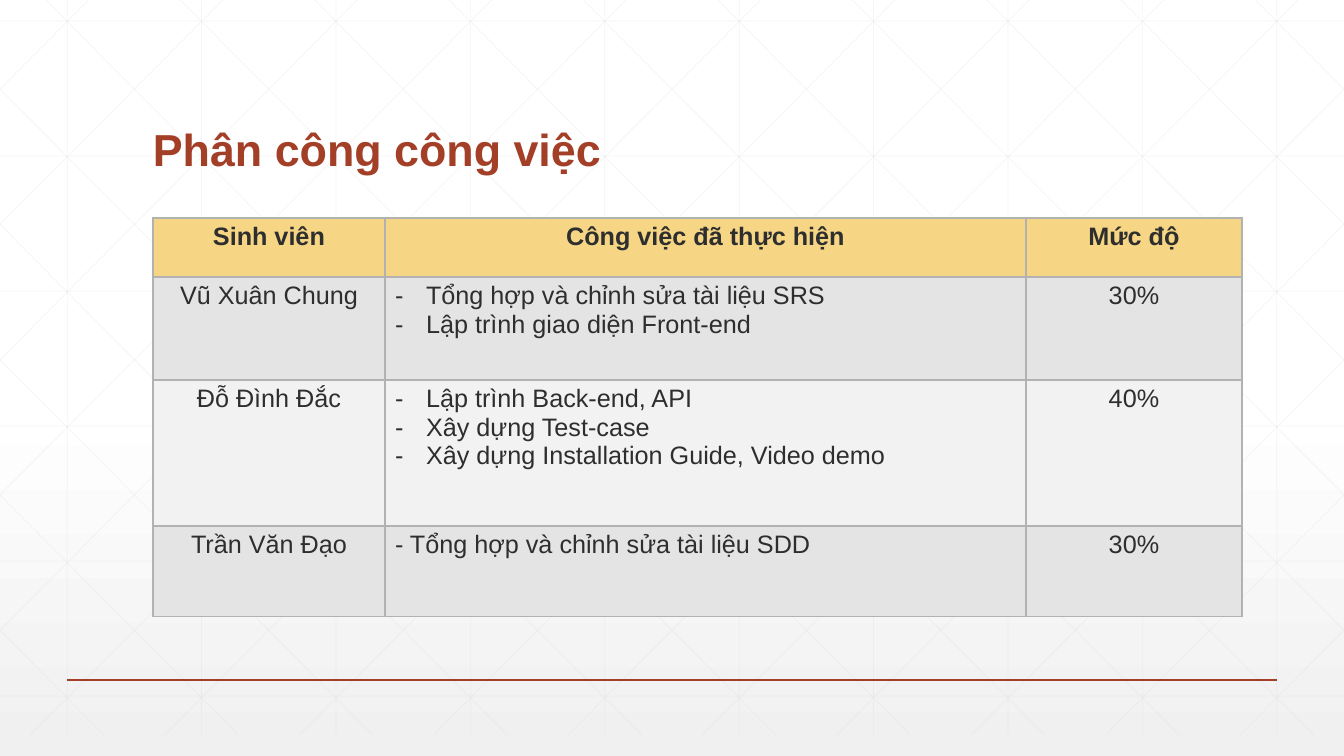
from copy import deepcopy

from lxml import etree
from pptx import Presentation
from pptx import util as u
from pptx.dml import color
from pptx.enum import shapes, text
from pptx.oxml import ns

WIDTH, HEIGHT = 1344, 756
GRID_BOTTOM = 735
EMU_PER_PX = 914400 / 100.8


def px(length):
    return u.Emu(round(length * EMU_PER_PX))


def rgb(value):
    return color.RGBColor.from_string(value)


def child(parent, tag, **attributes):
    return etree.SubElement(parent, ns.qn(tag), attributes)


def apply(target, values):
    for name, value in values.items():
        setattr(target, name, value)


class SlideBuilder:
    font = "Arial"
    accent = "A43F27"
    ink = "2D2E2D"
    grid = "D9D9D9"
    border = "B2B2B2"
    header = "F6D685"
    bands = ("E4E4E4", "F2F2F2")

    def __init__(self, deck):
        self.page = deck.slides.add_slide(deck.slide_layouts[6])

    def background(self, stops):
        fill = self.page.background.fill
        fill.gradient()
        fill.gradient_angle = 270
        stop_list = next(self.page.element.iter(ns.qn("a:gsLst")))
        for _ in range(len(stops) - len(stop_list)):
            stop_list.append(deepcopy(stop_list[0]))
        for stop, (position, value) in zip(fill.gradient_stops, stops):
            stop.position = position
            stop.color.rgb = rgb(value)

    def line(self, start, end, value, width, opacity=100):
        connector = self.page.shapes.add_connector(
            shapes.MSO_CONNECTOR.STRAIGHT, *map(px, start + end))
        connector.line.color.rgb = rgb(value)
        connector.line.width = u.Pt(width)
        properties = connector.element.spPr
        if opacity < 100:
            tint = next(properties.iter(ns.qn("a:srgbClr")))
            child(tint, "a:alpha", val=str(opacity * 1000))
        child(properties, "a:effectLst")

    def grid_line(self, start, end):
        self.line(start, end, self.grid, 0.5, 25)

    def lattice(self):
        for column in range(10):
            x = 67.2 + 134.4 * column
            self.grid_line((x, 0), (x, GRID_BOTTOM))
        for row in range(6):
            y = 21 + 135 * row
            self.grid_line((0, y), (WIDTH, y))
        slope = 751 / 756
        for step in range(-5, 10):
            left = 25 + 134.4 * step + 21 * slope
            top = max(0, -left / slope)
            bottom = min(GRID_BOTTOM, (WIDTH - left) / slope)
            start, end = [(left + y * slope, y) for y in (top, bottom)]
            self.grid_line(start, end)
            self.grid_line((WIDTH - start[0], top), (WIDTH - end[0], bottom))

    def add_words(self, para, words, size, value, bold=False):
        span = para.add_run()
        span.text = words
        apply(span.font, {"name": self.font, "size": u.Pt(size), "bold": bold})
        span.font.color.rgb = rgb(value)

    def title(self, words, left, top, width, height):
        box = self.page.shapes.add_textbox(*map(px, (left, top, width, height)))
        apply(box.text_frame, {"word_wrap": True,
                               "vertical_anchor": text.MSO_ANCHOR.BOTTOM})
        para = box.text_frame.paragraphs[0]
        para.line_spacing = 0.9
        self.add_words(para, words, 32, self.accent, True)

    def bullet(self, para):
        properties = para._p.get_or_add_pPr()
        properties.set("marL", str(px(31)))
        properties.set("indent", str(px(-31)))
        child(properties, "a:buFont", typeface=self.font)
        child(properties, "a:buChar", char="-")

    def cell(self, cell, lines, fill, centred, bold, bulleted):
        properties = cell._tc.get_or_add_tcPr()
        for side in "LRTB":
            edge = child(properties, f"a:ln{side}", w=str(u.Pt(1)))
            child(child(edge, "a:solidFill"), "a:srgbClr", val=self.border)
        cell.fill.solid()
        cell.fill.fore_color.rgb = rgb(fill)
        frame = cell.text_frame
        for index, words in enumerate(lines):
            para = frame.add_paragraph() if index else frame.paragraphs[0]
            para.alignment = text.PP_ALIGN.CENTER if centred else text.PP_ALIGN.LEFT
            if bulleted:
                self.bullet(para)
            self.add_words(para, words, 18, self.ink, bold)

    def table(self, left, top, widths, heights, rows):
        frame = self.page.shapes.add_table(
            len(heights), len(widths),
            *map(px, (left, top, sum(widths), sum(heights))))
        table = frame.table
        apply(table, {"first_row": False, "horz_banding": False})
        for column, width in zip(table.columns, widths):
            column.width = px(width)
        for row, height in zip(table.rows, heights):
            row.height = px(height)
        for r, row in enumerate(rows):
            heading = r == 0
            fill = self.header if heading else self.bands[(r - 1) % 2]
            for c, lines in enumerate(row):
                self.cell(table.cell(r, c), lines, fill, heading or c != 1,
                          heading, len(lines) > 1)


def main():
    deck = Presentation()
    apply(deck, {"slide_width": px(WIDTH), "slide_height": px(HEIGHT)})
    builder = SlideBuilder(deck)
    builder.background([(0, "FFFFFF"), (0.53, "FFFFFF"), (1, "F0F0F0")])
    builder.lattice()
    builder.line((67, 680), (1277, 680), builder.accent, 1)
    builder.title("Phân công công việc", 143, 55, 1058, 126)
    builder.table(153, 218, (232, 641, 216), (59, 103, 146, 91), [
        (["Sinh viên"], ["Công việc đã thực hiện"], ["Mức độ"]),
        (["Vũ Xuân Chung"],
         ["Tổng hợp và chỉnh sửa tài liệu SRS", "Lập trình giao diện Front-end"],
         ["30%"]),
        (["Đỗ Đình Đắc"],
         ["Lập trình Back-end, API", "Xây dựng Test-case",
          "Xây dựng Installation Guide, Video demo"],
         ["40%"]),
        (["Trần Văn Đạo"], ["- Tổng hợp và chỉnh sửa tài liệu SDD"], ["30%"]),
    ])
    deck.save("out.pptx")


if __name__ == "__main__":
    main()
